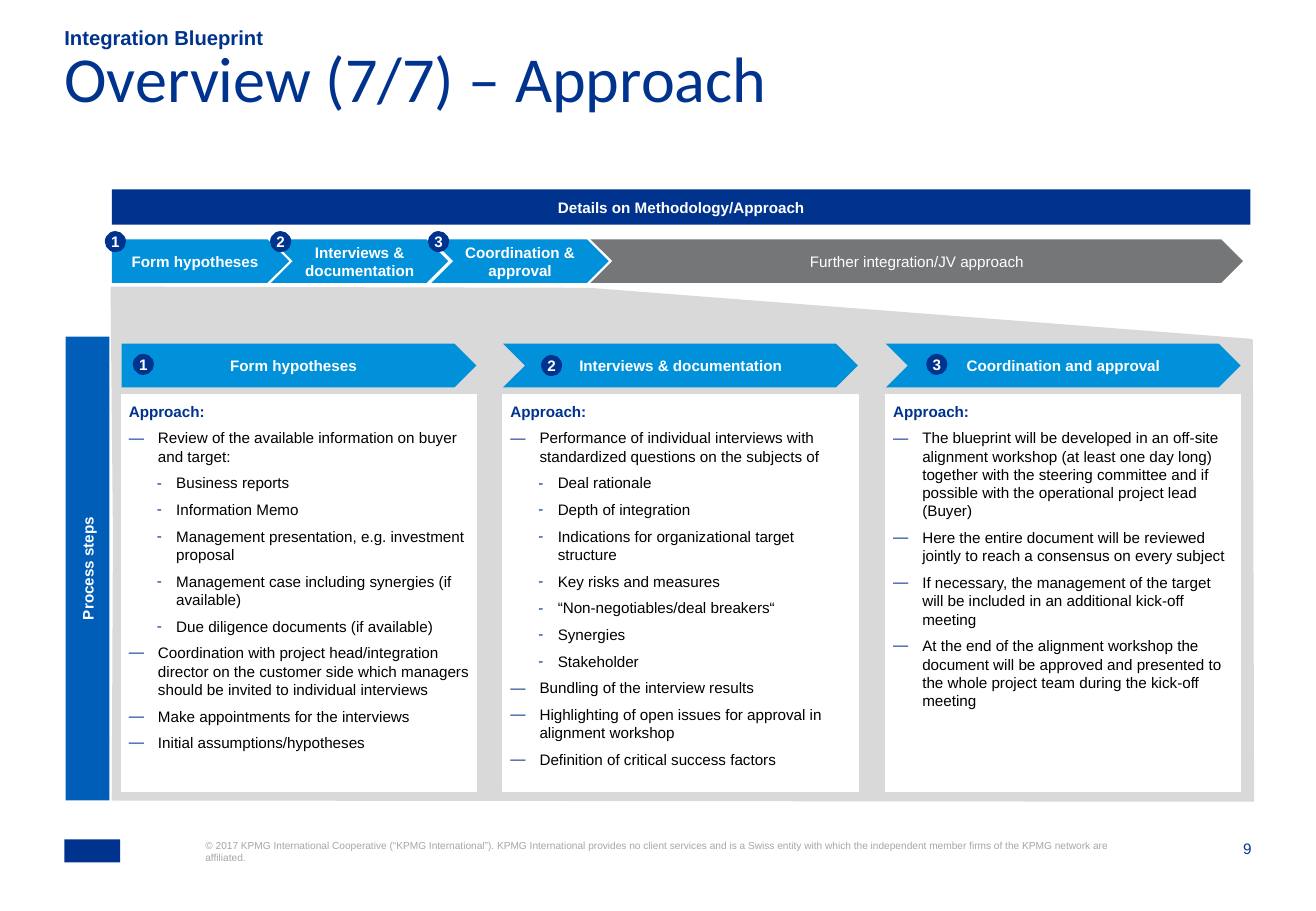
"""Build the Integration Blueprint approach slide."""
from lxml.etree import SubElement
from pptx import Presentation
from pptx.dml.color import RGBColor
from pptx.enum.shapes import MSO_SHAPE as SHAPE
from pptx.enum.text import MSO_ANCHOR as ANCHOR, MSO_AUTO_SIZE as AUTO, PP_ALIGN as ALIGN
from pptx.oxml.ns import qn
from pptx.util import Pt

PX = 9144
NAVY = RGBColor(0x00, 0x33, 0x8D)
BLUE = RGBColor(0x00, 0x5E, 0xB8)
SKY = RGBColor(0x00, 0x91, 0xDA)
GRAY = RGBColor(0x74, 0x76, 0x78)
SILVER = RGBColor(0xA6, 0xA6, 0xA6)
PALE = RGBColor(0xD9, 0xD9, 0xD9)
WHITE = RGBColor(0xFF, 0xFF, 0xFF)
BLACK = RGBColor(0x00, 0x00, 0x00)
BULLETS = {2: ("—", 24, 24), 3: ("-", 39, 16)}

COLUMNS = [
    ("Form hypotheses", SHAPE.PENTAGON, (110, 292), [
        (2, "Review of the available information on buyer and target:"),
        (3, "Business reports"),
        (3, "Information Memo"),
        (3, "Management presentation, e.g. investment proposal"),
        (3, "Management case including synergies (if available)"),
        (3, "Due diligence documents (if available)"),
        (2, "Coordination with project head/integration director on the customer side "
            "which managers should be invited to individual interviews"),
        (2, "Make appointments for the interviews"),
        (2, "Initial assumptions/hypotheses"),
    ]),
    ("Interviews & documentation", SHAPE.CHEVRON, (446, 293), [
        (2, "Performance of individual interviews with standardized questions on the subjects of"),
        (3, "Deal rationale"),
        (3, "Depth of integration"),
        (3, "Indications for organizational target structure"),
        (3, "Key risks and measures"),
        (3, "“Non-negotiables/deal breakers“"),
        (3, "Synergies"),
        (3, "Stakeholder"),
        (2, "Bundling of the interview results"),
        (2, "Highlighting of open issues for approval in alignment workshop"),
        (2, "Definition of critical success factors"),
    ]),
    ("Coordination and approval", SHAPE.CHEVRON, (763, 292), [
        (2, "The blueprint will be developed in an off-site alignment workshop (at least one day "
            "long) together with the steering committee and if possible with the operational "
            "project lead (Buyer)"),
        (2, "Here the entire document will be reviewed jointly to reach a consensus on every subject"),
        (2, "If necessary, the management of the target will be included in an additional "
            "kick-off meeting"),
        (2, "At the end of the alignment workshop the document will be approved and presented "
            "to the whole project team during the kick-off meeting"),
    ]),
]


def write(p, text, color, size=9, bold=False, name="Arial"):
    r = p.add_run()
    r.text = text
    r.font.color.rgb = color
    for key, value in {"size": Pt(size), "bold": bold, "name": name}.items():
        setattr(r.font, key, value)


def add_block(kind, box, fill, text="", inset=6, line=None, bold=True):
    s = slide.shapes.add_shape(kind, *(v * PX for v in box))
    s.shadow.inherit = False
    s.fill.solid()
    s.fill.fore_color.rgb = fill
    if line:
        s.line.color.rgb = fill
        s.line.width = Pt(line)
    else:
        s.line.fill.background()
    tf = s.text_frame
    margins = dict.fromkeys(("margin_left", "margin_top", "margin_right", "margin_bottom"), inset * PX)
    for key, value in {**margins, "word_wrap": inset > 0, "vertical_anchor": ANCHOR.MIDDLE}.items():
        setattr(tf, key, value)
    if text:
        tf.paragraphs[0].alignment = ALIGN.CENTER
        write(tf.paragraphs[0], text, WHITE, bold=bold)
    return s


prs = Presentation()
prs.slide_width, prs.slide_height = 1083 * PX, 750 * PX
slide = prs.slides.add_slide(prs.slide_layouts[5])

title = slide.shapes.title
labels = [
    (title, (53, 49, 976, 79), "Overview (7/7) – Approach", ALIGN.LEFT, ANCHOR.TOP,
     {"color": NAVY, "size": 38, "name": "Calibri"}),
    (None, (53, 22, 940, 19), "Integration Blueprint", ALIGN.LEFT, ANCHOR.BOTTOM,
     {"color": NAVY, "size": 12, "bold": True}),
    (None, (169, 691, 749, 41),
     "© 2017 KPMG International Cooperative (“KPMG International”). KPMG International provides "
     "no client services and is a Swiss entity with which the independent member firms of the "
     "KPMG network are affiliated.", ALIGN.LEFT, ANCHOR.TOP, {"color": SILVER, "size": 6}),
    (None, (987, 691, 43, 16), "9", ALIGN.RIGHT, ANCHOR.TOP, {"color": NAVY}),
]
for s, box, text, align, anchor, style in labels:
    s = s or slide.shapes.add_textbox(0, 0, PX, PX)
    for key, value in zip(("left", "top", "width", "height"), box):
        setattr(s, key, value * PX)
    layout = {"margin_left": 0, "margin_top": 0, "margin_right": 0, "margin_bottom": 0,
              "word_wrap": True, "auto_size": AUTO.NONE, "vertical_anchor": anchor}
    for key, value in layout.items():
        setattr(s.text_frame, key, value)
    p = s.text_frame.paragraphs[0]
    p.alignment = align
    write(p, text, **style)
title.text_frame.paragraphs[0].line_spacing = 0.7

add_block(SHAPE.RECTANGLE, (53, 691, 46, 19), NAVY)

fb = slide.shapes.build_freeform(92, 237, scale=PX)
fb.add_line_segments([(485, 238), (1030, 280), (1031, 659), (93, 658), (94, 440)], close=True)
backdrop = fb.convert_to_shape()
backdrop.shadow.inherit = False
backdrop.fill.solid()
backdrop.fill.fore_color.rgb = PALE
backdrop.line.color.rgb = PALE
backdrop.line.width = Pt(1.5)

add_block(SHAPE.RECTANGLE, (92, 156, 937, 29), NAVY, "Details on Methodology/Approach")
add_block(SHAPE.RECTANGLE, (-119, 450, 382, 36), BLUE, "Process steps").rotation = 270

badges = []
for i, (heading, kind, badge, items) in enumerate(COLUMNS):
    left = 100 + round(314.5 * i)
    add_block(kind, (left, 283, 292, 36), SKY, heading, inset=10)
    badges.append((i + 1, *badge))
    tf = add_block(SHAPE.RECTANGLE, (left, 325, 292, 327), WHITE, line=0.75).text_frame
    tf.vertical_anchor = ANCHOR.TOP
    p = tf.paragraphs[0]
    p.alignment, p.space_after = ALIGN.LEFT, Pt(5)
    write(p, "Approach:", NAVY, bold=True)
    for level, text in items:
        p = tf.add_paragraph()
        char, indent, hanging = BULLETS[level]
        pPr = p._p.get_or_add_pPr()
        pPr.set("marL", str(indent * PX))
        pPr.set("indent", str(-hanging * PX))
        SubElement(SubElement(pPr, qn("a:buClr")), qn("a:srgbClr")).set("val", str(NAVY))
        SubElement(pPr, qn("a:buFont")).set("typeface", "Arial")
        SubElement(pPr, qn("a:buChar")).set("char", char)
        p.alignment, p.space_after, p.level = ALIGN.LEFT, Pt(5), level - 1
        write(p, text, BLACK)

phases = [
    (SHAPE.PENTAGON, 92, 146, SKY, "Form hypotheses", True),
    (SHAPE.CHEVRON, 223, 146, SKY, "Interviews & documentation", True),
    (SHAPE.CHEVRON, 355, 146, SKY, "Coordination & approval", True),
    (SHAPE.CHEVRON, 486, 537, GRAY, "Further integration/JV approach", False),
]
for kind, left, width, fill, text, bold in phases:
    add_block(kind, (left, 197, width, 36), fill, text, bold=bold)

badges += [(1, 87, 191), (2, 223, 191), (3, 353, 191)]
for number, left, top in badges:
    add_block(SHAPE.OVAL, (left, top, 16, 16), NAVY, str(number), inset=0, line=1)

prs.save("out.pptx")
